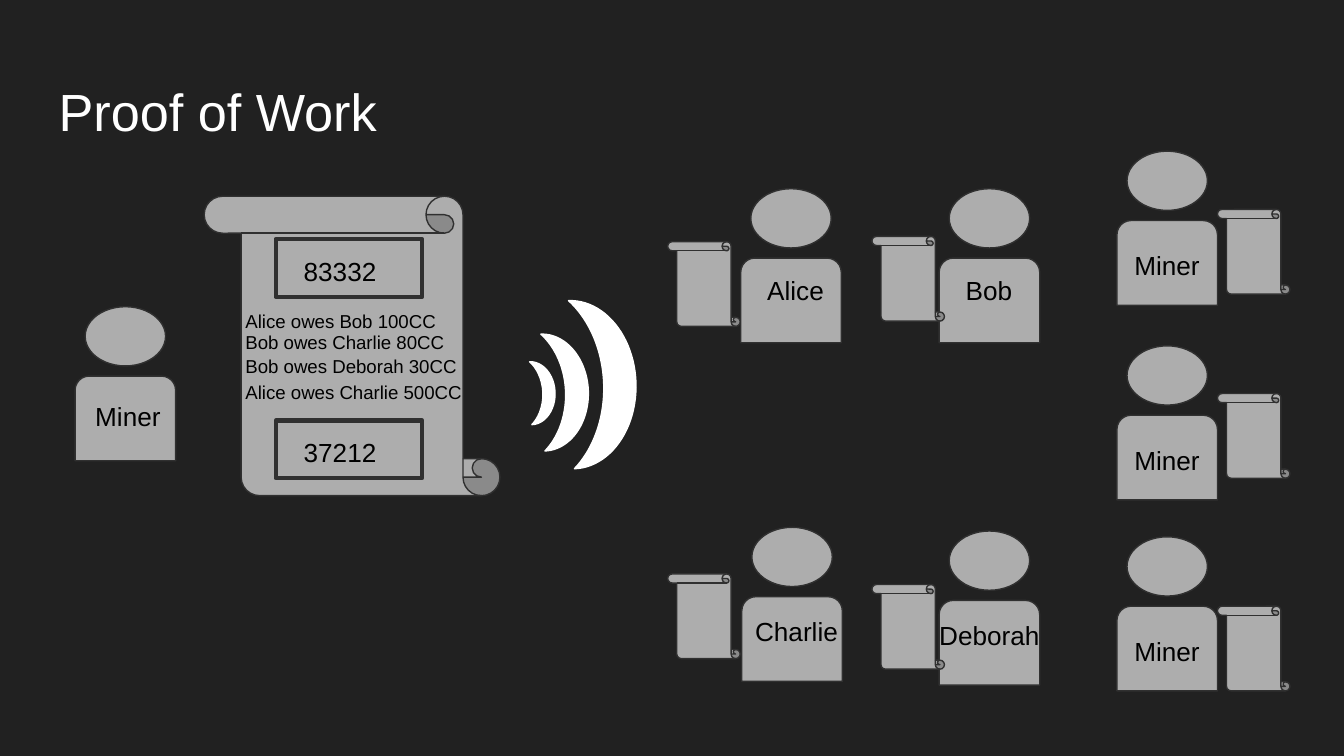
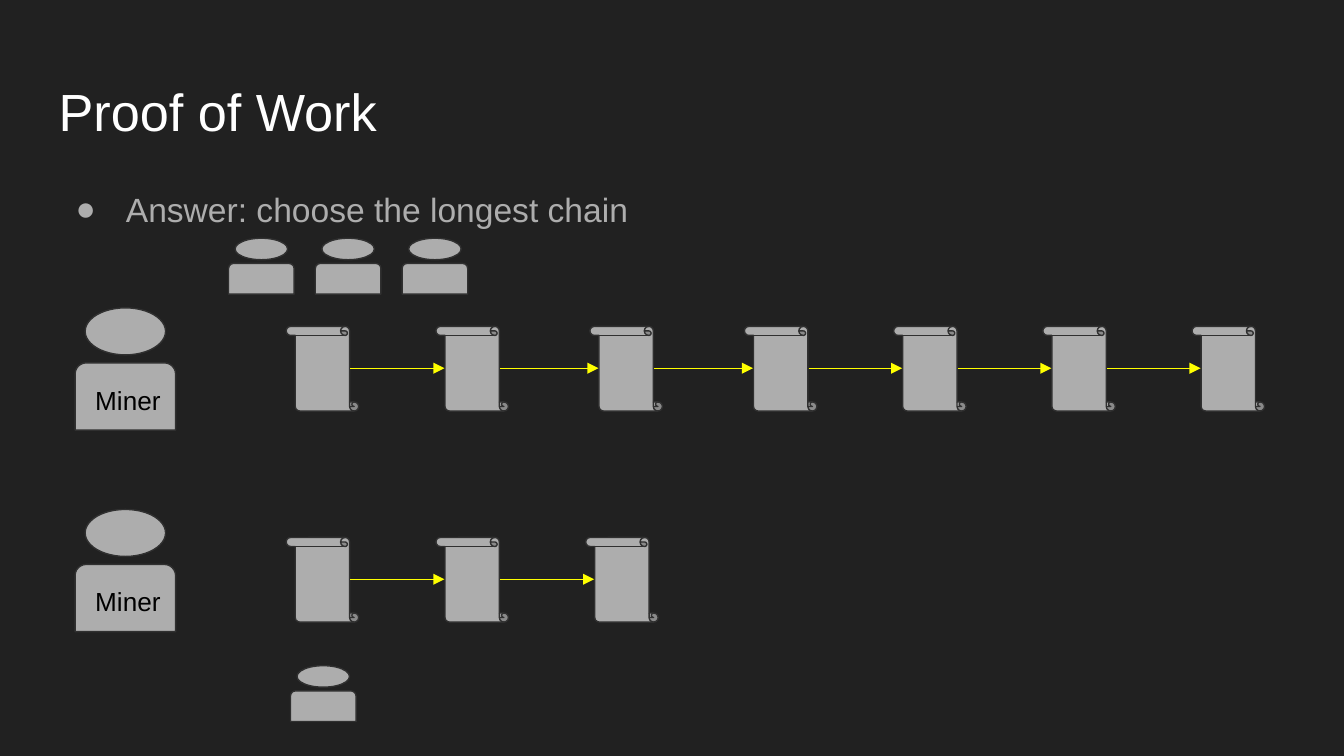
from itertools import pairwise

from lxml.etree import SubElement
from pptx import Presentation
from pptx.dml.color import RGBColor
from pptx.enum.shapes import MSO_CONNECTOR as Connector, MSO_SHAPE as Preset
from pptx.enum.text import MSO_ANCHOR as Anchor, PP_ALIGN as Align
from pptx.oxml.ns import qn
from pptx.util import Cm, Pt

BACKGROUND, GREY, OUTLINE = "212121", "ADADAD", "303030"
WHITE, BLACK, YELLOW = "FFFFFF", "000000", "FFFF00"


def colour(hex_string):
    """Turn a hex string into a colour."""
    return RGBColor.from_string(hex_string)


def write(frame, text, size=14, ink=BLACK, anchor=Anchor.TOP, bullet=None, spacing=None):
    """Fill a text frame with one formatted paragraph."""
    frame.word_wrap = True
    frame.vertical_anchor = anchor
    frame.margin_left = frame.margin_right = Cm(0.25)
    frame.margin_top = frame.margin_bottom = Cm(0.25)
    paragraph = frame.paragraphs[0]
    paragraph.alignment = Align.LEFT
    if spacing:
        paragraph.line_spacing = spacing
    run = paragraph.add_run()
    run.text = text
    run.font.name, run.font.size = "Arial", Pt(size)
    run.font.color.rgb = colour(ink)
    if bullet:
        properties = paragraph._p.get_or_add_pPr()
        properties.set("marL", str(Cm(1.27)))
        properties.set("indent", str(Cm(-0.95)))
        tint = SubElement(properties, qn("a:buClr"))
        SubElement(tint, qn("a:srgbClr"), val=ink)
        SubElement(properties, qn("a:buFont"), typeface="Arial")
        SubElement(properties, qn("a:buChar"), char=bullet)


class Deck:
    """Hold the shared style and the current slide."""

    def __init__(self):
        """Start a widescreen presentation."""
        self.presentation = Presentation()
        self.presentation.slide_width = Cm(25.4)
        self.presentation.slide_height = Cm(14.29)
        self.slide = None

    def start(self, title):
        """Add a dark slide with its title."""
        self.slide = self.presentation.slides.add_slide(self.presentation.slide_layouts[6])
        fill = self.slide.background.fill
        fill.solid()
        fill.fore_color.rgb = colour(BACKGROUND)
        self.text(title, 0.86, 1.24, 23.67, 1.6, size=28, ink=WHITE)

    def text(self, text, left, top, width, height, **style):
        """Add a text box."""
        box = self.slide.shapes.add_textbox(Cm(left), Cm(top), Cm(width), Cm(height))
        write(box.text_frame, text, **style)

    def shape(self, preset, left, top, width, height, fill=GREY, line=OUTLINE, weight=0.75, mirrored=False):
        """Add a filled and outlined preset shape."""
        shape = self.slide.shapes.add_shape(preset, Cm(left), Cm(top), Cm(width), Cm(height))
        shape.shadow.inherit = False
        shape.fill.solid()
        shape.fill.fore_color.rgb = colour(fill)
        shape.line.color.rgb = colour(line)
        shape.line.width = Pt(weight)
        if mirrored:
            shape.element.spPr.find(qn("a:xfrm")).set("flipH", "1")
        return shape

    def person(self, left, top, width=1.9, height=1.6, label=None):
        """Add a body with a head above it."""
        body = self.shape(Preset.ROUND_2_SAME_RECTANGLE, left, top, width, height)
        if label:
            write(body.text_frame, label, anchor=Anchor.MIDDLE)
        self.shape(Preset.OVAL, left + 0.1 * width, top - 0.82 * height, 0.8 * width, 0.7 * height)

    def scroll(self, left, top, width=1.37, height=1.6):
        """Add a ledger scroll."""
        self.shape(Preset.VERTICAL_SCROLL, left, top, width, height, mirrored=True)

    def wave(self, left, top, width, height):
        """Add one broadcast wave."""
        moon = self.shape(Preset.MOON, left, top, width, height, WHITE, WHITE, mirrored=True)
        moon.rotation = 358

    def number(self, text, top):
        """Add a framed number on the large scroll."""
        self.shape(Preset.RECTANGLE, 5.21, top, 2.77, 1.09, weight=2.25)
        self.text(text, 5.49, top + 0.05, 2.06, 0.86)

    def arrow(self, start, end, level):
        """Add a horizontal arrow."""
        arrow = self.slide.shapes.add_connector(Connector.STRAIGHT, Cm(start), Cm(level), Cm(end), Cm(level))
        arrow.line.color.rgb = colour(YELLOW)
        arrow.line.width = Pt(0.75)
        properties = arrow.element.spPr
        SubElement(properties.find(qn("a:ln")), qn("a:tailEnd"), type="triangle")
        SubElement(properties, qn("a:effectLst"))

    def chain(self, lefts, top):
        """Add a row of scrolls joined by arrows."""
        for left in lefts:
            self.scroll(left, top)
        for left, following in pairwise(lefts):
            self.arrow(left + 1.21, following + 0.16, top + 0.79)


def build_broadcast(deck):
    """Show a miner sending a block to everyone."""
    deck.start("Proof of Work")
    deck.scroll(3.86, 3.71, 5.59, 5.66)
    deck.number("37212", 7.95)
    deck.number("83332", 4.52)
    debts = [
        ("Alice owes Bob 100CC", 5.64),
        ("Bob owes Charlie 80CC", 6.05),
        ("Bob owes Deborah 30CC", 6.5),
        ("Alice owes Charlie 500CC", 6.98),
    ]
    for debt, top in debts:
        deck.text(debt, 4.39, top, 5.59, 0.84, size=10)
    people = [
        ("Miner", 1.42, 7.11, 0.13, 0.2, 2.06),
        ("Alice", 14, 4.88, 0.25, 0.05, 1.65),
        ("Bob", 17.75, 4.88, 0.25, 0.05, 1.65),
        ("Charlie", 14.02, 11.28, 0, 0.1, 2.46),
        ("Deborah", 17.75, 11.35, -0.25, 0.1, 3.2),
    ]
    for name, left, top, shift, drop, width in people:
        deck.person(left, top)
        deck.text(name, left + shift, top + drop, width, 1.24)
    for wave in [(10.03, 6.83, 0.46, 1.19), (10.26, 6.3, 0.86, 2.21), (10.8, 5.66, 1.22, 3.18)]:
        deck.wave(*wave)
    for scroll_top, miner_top in [(3.96, 4.17), (7.44, 7.85), (11.46, 11.46)]:
        deck.scroll(23.01, scroll_top)
        deck.person(21.11, miner_top, label="Miner")
    for left, top in [(12.62, 4.57), (12.62, 10.85), (16.48, 4.47), (16.48, 11.05)]:
        deck.scroll(left, top)


def build_longest_chain(deck):
    """Compare a long chain with a short one."""
    deck.start("Proof of Work")
    deck.text("Answer: choose the longest chain", 0.86, 3.2, 23.67, 1.3,
              size=18, ink=GREY, bullet="●", spacing=1.15)
    for top in (6.86, 10.67):
        deck.person(1.42, top, height=1.27)
        deck.text("Miner", 1.55, top + 0.15, 2.06, 0.99)
    followers = [(4.32 + 1.64 * index, 4.98) for index in range(3)] + [(5.49, 13.06)]
    for left, top in followers:
        deck.person(left, top, 1.24, 0.58)
    deck.chain([5.41, 8.24, 11.15, 14.07, 16.89, 19.71, 22.53], 6.17)
    deck.chain([5.41, 8.24, 11.07], 10.16)


deck = Deck()
build_broadcast(deck)
build_longest_chain(deck)
deck.presentation.save("out.pptx")
